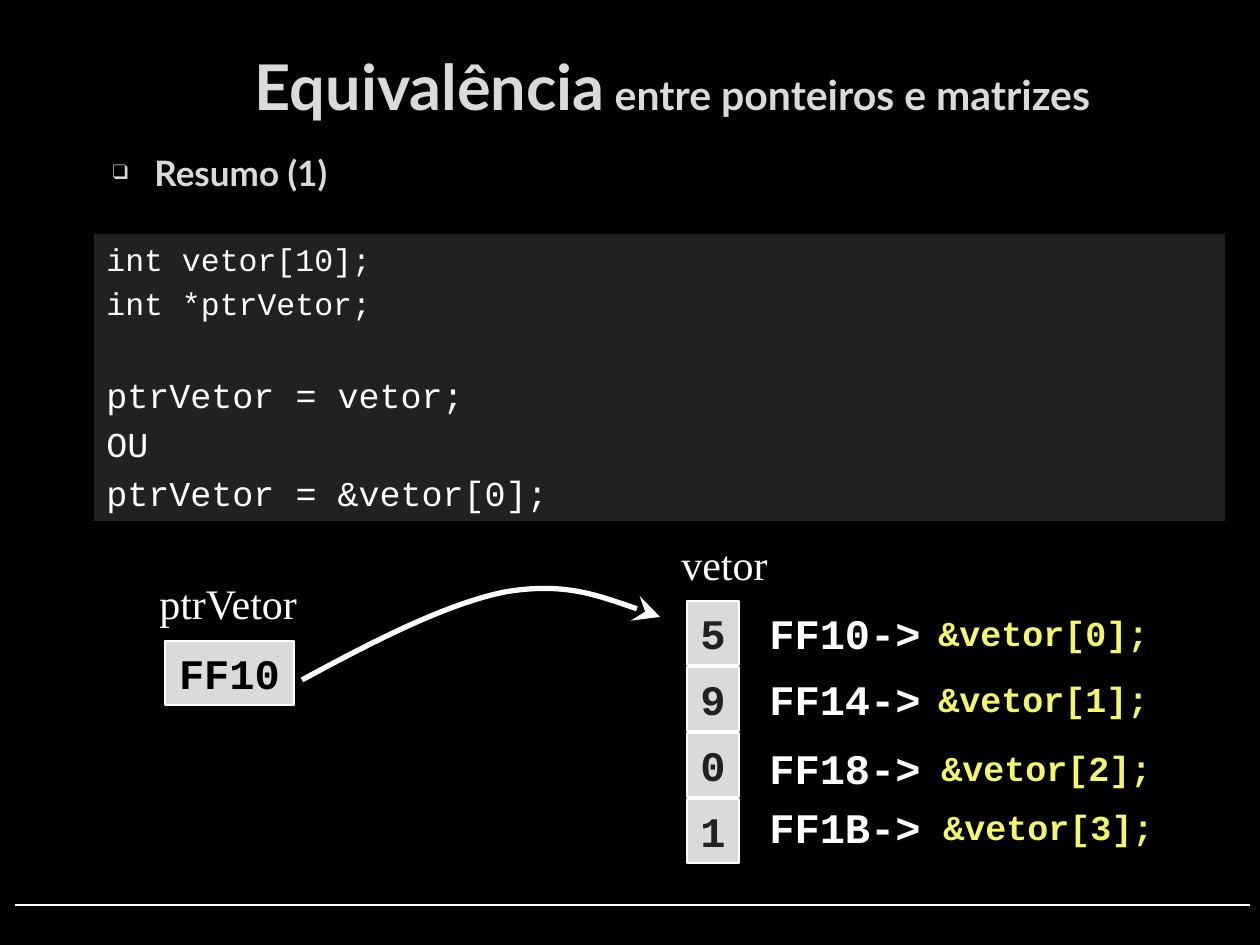
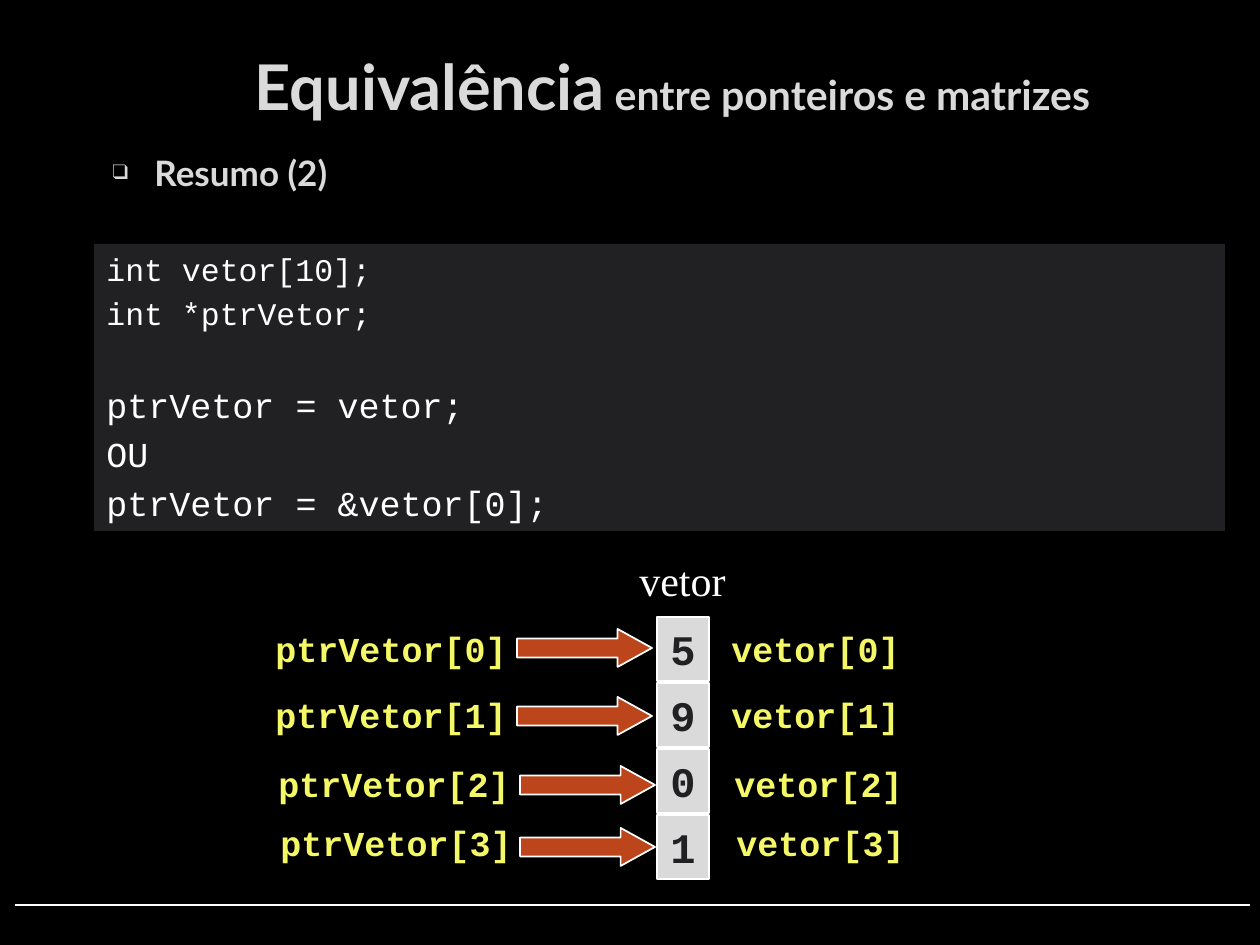
from dataclasses import dataclass
from itertools import chain

from lxml import etree
from pptx import Presentation
from pptx.dml.color import RGBColor
from pptx.enum.shapes import MSO_CONNECTOR, MSO_SHAPE
from pptx.enum.text import MSO_ANCHOR, MSO_AUTO_SIZE, PP_ALIGN
from pptx.oxml.ns import qn
from pptx.util import Pt

EMU_PER_PX = 914400 / 126
WIDTH, HEIGHT = 1260, 945

BLACK, WHITE = "000000", "FFFFFF"
LIGHT, DARK = "DADADA", "212123"
YELLOW, ORANGE = "F5F866", "BC451B"
HEADING, CODE, CAPTION = "Lato", "Courier New", "Times New Roman"

CELL_W, CELL_H, CELL_PITCH = 52, 64, 66
VALUES = ("5", "9", "0", "1")
LABEL_DX = (0, 0, 3, 5)
LABEL_DY = (4, 70, 139, 198)
ARROW_DX = (0, 0, 3, 3)
ARROW_DY = (12, 80, 149, 211)


@dataclass(frozen=True)
class Style:
    font: str
    size: float
    color: str
    bold: bool = False


@dataclass(frozen=True)
class CodeLine:
    text: str
    size: int
    before: float


TITLE_BIG = Style(HEADING, 36, LIGHT, True)
TITLE_SMALL = Style(HEADING, 23.4, LIGHT, True)
SUBTITLE = Style(HEADING, 20, LIGHT, True)
NAME = Style(CAPTION, 24, WHITE)
VALUE = Style(CODE, 24, DARK, True)
POINTER = Style(CODE, 24, BLACK, True)
ADDRESS = Style(CODE, 24, WHITE, True)
LABEL = Style(CODE, 20, YELLOW, True)

CODE_LINES = (
    CodeLine("int vetor[10];", 18, 4.5),
    CodeLine("int *ptrVetor;", 18, 3.6),
    CodeLine("ptrVetor = vetor;", 20, 29.2),
    CodeLine("OU", 20, 4),
    CodeLine("ptrVetor = &vetor[0];", 20, 4),
)


def px(n: float) -> int:
    return round(n * EMU_PER_PX)


def box(*lengths: int) -> list[int]:
    return [px(n) for n in lengths]


def rgb(color: str) -> RGBColor:
    return RGBColor.from_string(color)


def add_run(p, text: str, style: Style) -> None:
    r = p.add_run()
    r.text = text
    r.font.name, r.font.size, r.font.bold = style.font, Pt(style.size), style.bold
    r.font.color.rgb = rgb(style.color)


def set_indent(p, left: int, hanging: int) -> None:
    pPr = p._p.get_or_add_pPr()
    pPr.set("marL", str(px(left)))
    pPr.set("indent", str(-px(hanging)))


def set_line(sp, width: float) -> None:
    sp.line.color.rgb = rgb(WHITE)
    sp.line.width = Pt(width)


def add_preset(slide, kind, at: list[int], fill: str, outlined: bool = True):
    sp = slide.shapes.add_shape(kind, *at)
    sp.shadow.inherit = False
    sp.fill.solid()
    sp.fill.fore_color.rgb = rgb(fill)
    if outlined:
        set_line(sp, 1)
    else:
        sp.line.fill.background()
    return sp


def write_line(sp, text: str, style: Style, align=PP_ALIGN.LEFT) -> None:
    """Fill a shape with one unwrapped line, anchored at the top."""
    tf = sp.text_frame
    tf.word_wrap = False
    tf.auto_size = MSO_AUTO_SIZE.SHAPE_TO_FIT_TEXT
    tf.vertical_anchor = MSO_ANCHOR.TOP
    p = tf.paragraphs[0]
    p.alignment = align
    p.space_before = Pt(style.size * 0.2)
    add_run(p, text, style)


def add_text(slide, x: int, y: int, w: int, text: str, style: Style) -> None:
    h = 63 if style.size == 24 else 54
    write_line(slide.shapes.add_textbox(*box(x, y, w, h)), text, style)


def add_cell(slide, x: int, y: int, text: str, style: Style = VALUE, w: int = CELL_W) -> None:
    sp = add_preset(slide, MSO_SHAPE.RECTANGLE, box(x, y, w, CELL_H), LIGHT)
    write_line(sp, text, style, PP_ALIGN.CENTER)


def add_vector(slide, x: int, y: int) -> None:
    for i, value in enumerate(VALUES):
        add_cell(slide, x, y + i * CELL_PITCH, value)


def add_labels(slide, x: int, y: int, w: int, pattern: str) -> None:
    """Write one label per vector cell; y is the top of the vector."""
    for i, (dx, dy) in enumerate(zip(LABEL_DX, LABEL_DY)):
        add_text(slide, x + dx, y + dy, w, pattern.format(i), LABEL)


def add_code(slide, y: int) -> None:
    sp = add_preset(slide, MSO_SHAPE.RECTANGLE, box(94, y, 1131, 287), DARK, outlined=False)
    tf = sp.text_frame
    tf.word_wrap = True
    tf.vertical_anchor = MSO_ANCHOR.TOP
    for i, line in enumerate(CODE_LINES):
        p = tf.add_paragraph() if i else tf.paragraphs[0]
        p.alignment = PP_ALIGN.LEFT
        p.space_before = Pt(line.before)
        set_indent(p, 73, 73)
        add_run(p, line.text, Style(CODE, line.size, WHITE))


def add_subtitle(slide, text: str) -> None:
    tf = slide.shapes.add_textbox(*box(94, 145, 1155, 79)).text_frame
    tf.word_wrap = True
    p = tf.paragraphs[0]
    p.space_before, p.space_after = Pt(4), Pt(6)
    set_indent(p, 48, 42)
    pPr = p._p.get_or_add_pPr()
    color = etree.SubElement(pPr, qn("a:buClr"))
    etree.SubElement(color, qn("a:srgbClr"), val=LIGHT)
    etree.SubElement(pPr, qn("a:buSzPct"), val="60000")
    etree.SubElement(pPr, qn("a:buFont"), typeface=CAPTION)
    etree.SubElement(pPr, qn("a:buChar"), char="❑")
    add_run(p, text, SUBTITLE)


def add_footer_line(slide) -> None:
    line = slide.shapes.add_connector(MSO_CONNECTOR.STRAIGHT, *box(15, 905, 1250, 905))
    set_line(line, 1)
    etree.SubElement(line._element.spPr, qn("a:effectLst"))


def add_base(prs, subtitle: str, code_y: int):
    """Add a slide with the title, subtitle, code panel and footer line."""
    slide = prs.slides.add_slide(prs.slide_layouts[5])
    add_footer_line(slide)
    title = slide.shapes.title
    title.left, title.top, title.width, title.height = box(95, 53, 1155, 64)
    tf = title.text_frame
    tf.word_wrap = True
    tf.auto_size = MSO_AUTO_SIZE.NONE
    tf.vertical_anchor = MSO_ANCHOR.MIDDLE
    p = tf.paragraphs[0]
    p.alignment = PP_ALIGN.CENTER
    add_run(p, "Equivalência", TITLE_BIG)
    add_run(p, " entre ponteiros e matrizes", TITLE_SMALL)
    add_subtitle(slide, subtitle)
    add_code(slide, code_y)
    return slide


def add_pointer_curve(slide) -> None:
    """Draw two joined Bézier arcs ending in an arrowhead."""
    arcs = (
        ((374, 641), (446, 604), (505, 592)),
        ((564, 582), (612, 600), (660, 617)),
    )
    builder = slide.shapes.build_freeform(302, 680, scale=EMU_PER_PX)
    builder.add_line_segments(chain(*arcs), close=False)
    sp = builder.convert_to_shape()
    sp.shadow.inherit = False
    sp.fill.background()
    set_line(sp, 3)
    etree.SubElement(sp.line._get_or_add_ln(), qn("a:tailEnd"), type="stealth", w="lg", len="lg")

    outline = sp._element.find(".//" + qn("a:path"))
    segments = outline.findall(qn("a:lnTo"))
    for start in range(0, len(segments), 3):
        curve = etree.SubElement(outline, qn("a:cubicBezTo"))
        for segment in segments[start:start + 3]:
            curve.append(segment[0])
            outline.remove(segment)


def build_address_slide(prs) -> None:
    slide = add_base(prs, "Resumo (1)", 234)
    top = 601
    add_text(slide, 669, 532, 113, "vetor", NAME)
    add_text(slide, 147, 571, 165, "ptrVetor", NAME)
    add_pointer_curve(slide)
    add_cell(slide, 165, 641, "FF10", POINTER, 129)
    add_vector(slide, 687, top)
    for address, dy in zip(("FF10", "FF14", "FF18", "FF1B"), LABEL_DY):
        add_text(slide, 757, top + dy - 4, 178, f"{address}->", ADDRESS)
    add_labels(slide, 926, top, 238, "&vetor[{}];")


def build_index_slide(prs) -> None:
    slide = add_base(prs, "Resumo (2)", 244)
    top = 617
    add_text(slide, 627, 548, 113, "vetor", NAME)
    add_vector(slide, 657, top)
    add_labels(slide, 263, top, 260, "ptrVetor[{}]")
    add_labels(slide, 719, top, 197, "vetor[{}]")
    for dx, dy in zip(ARROW_DX, ARROW_DY):
        arrow = add_preset(slide, MSO_SHAPE.RIGHT_ARROW, box(517 + dx, top + dy, 135, 38), ORANGE)
        arrow.adjustments[1] = 0.904


def main() -> None:
    prs = Presentation()
    prs.slide_width, prs.slide_height = box(WIDTH, HEIGHT)
    background = prs.slide_master.background.fill
    background.solid()
    background.fore_color.rgb = rgb(BLACK)
    build_address_slide(prs)
    build_index_slide(prs)
    prs.save("out.pptx")


if __name__ == "__main__":
    main()
